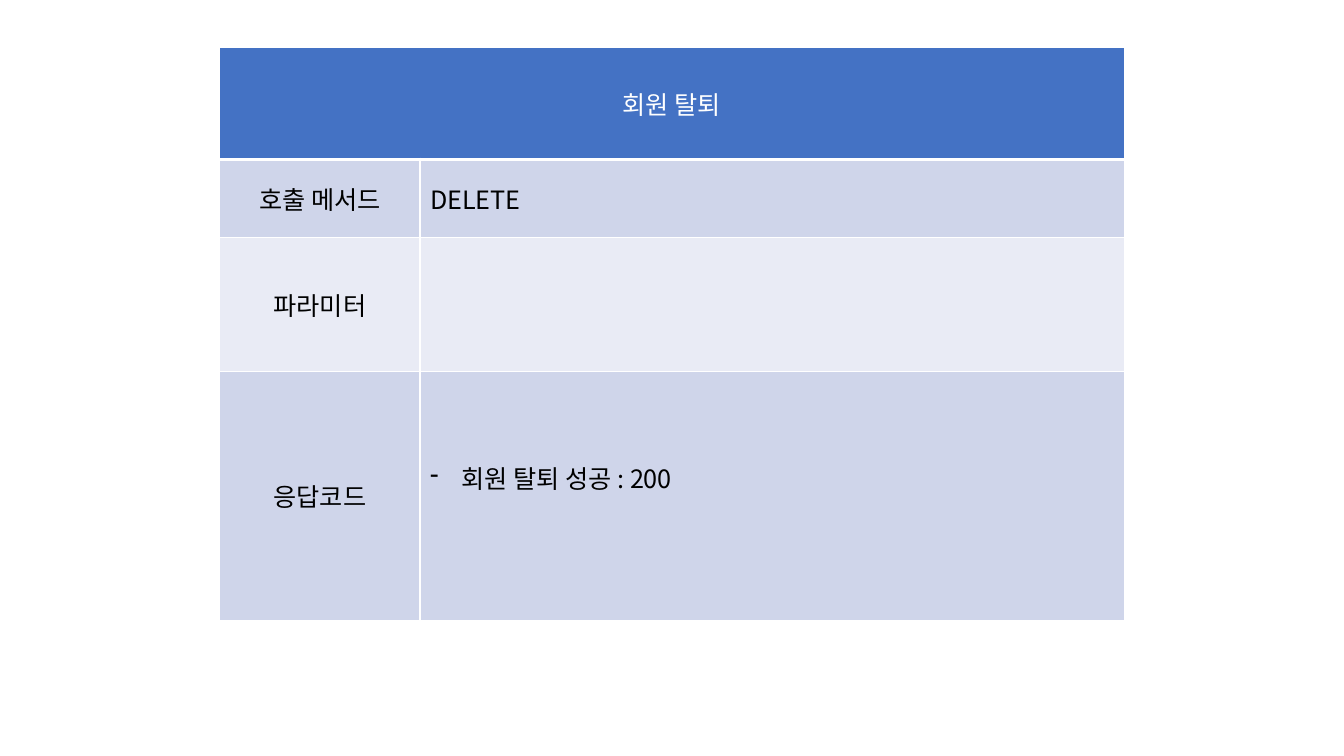
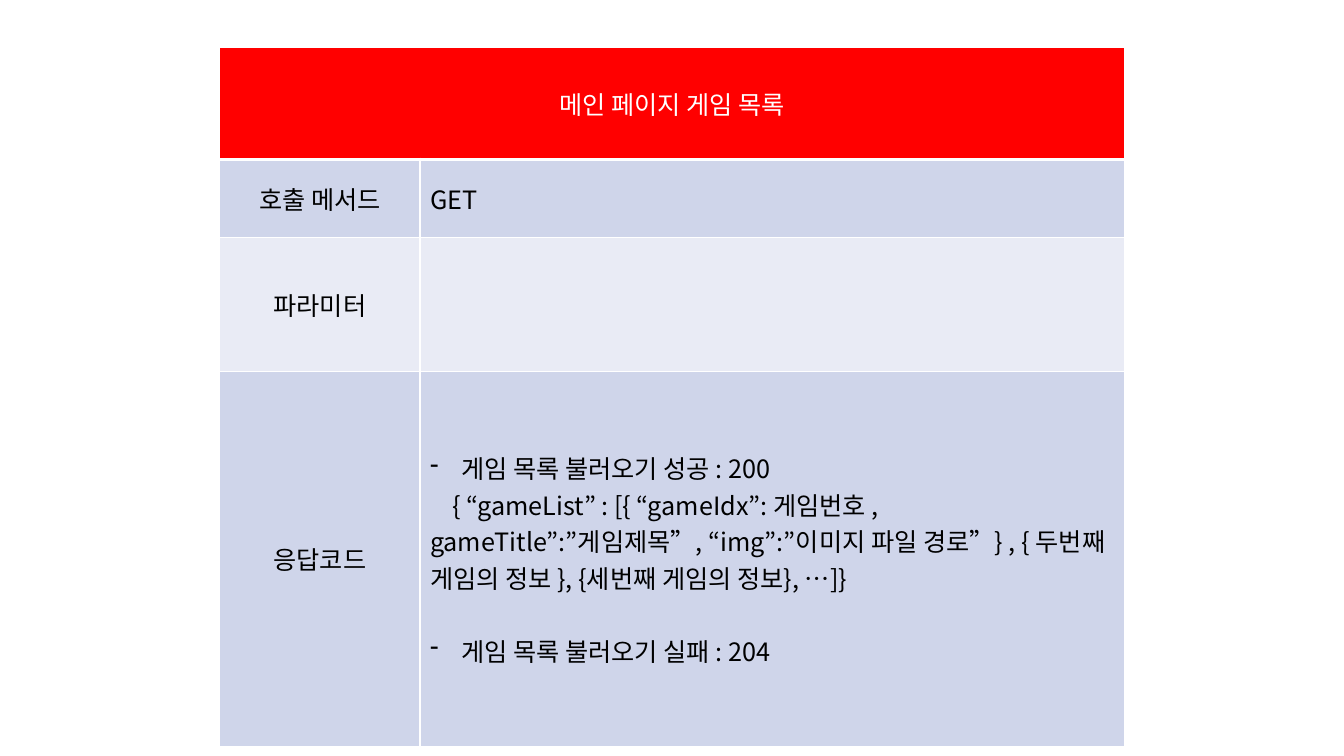
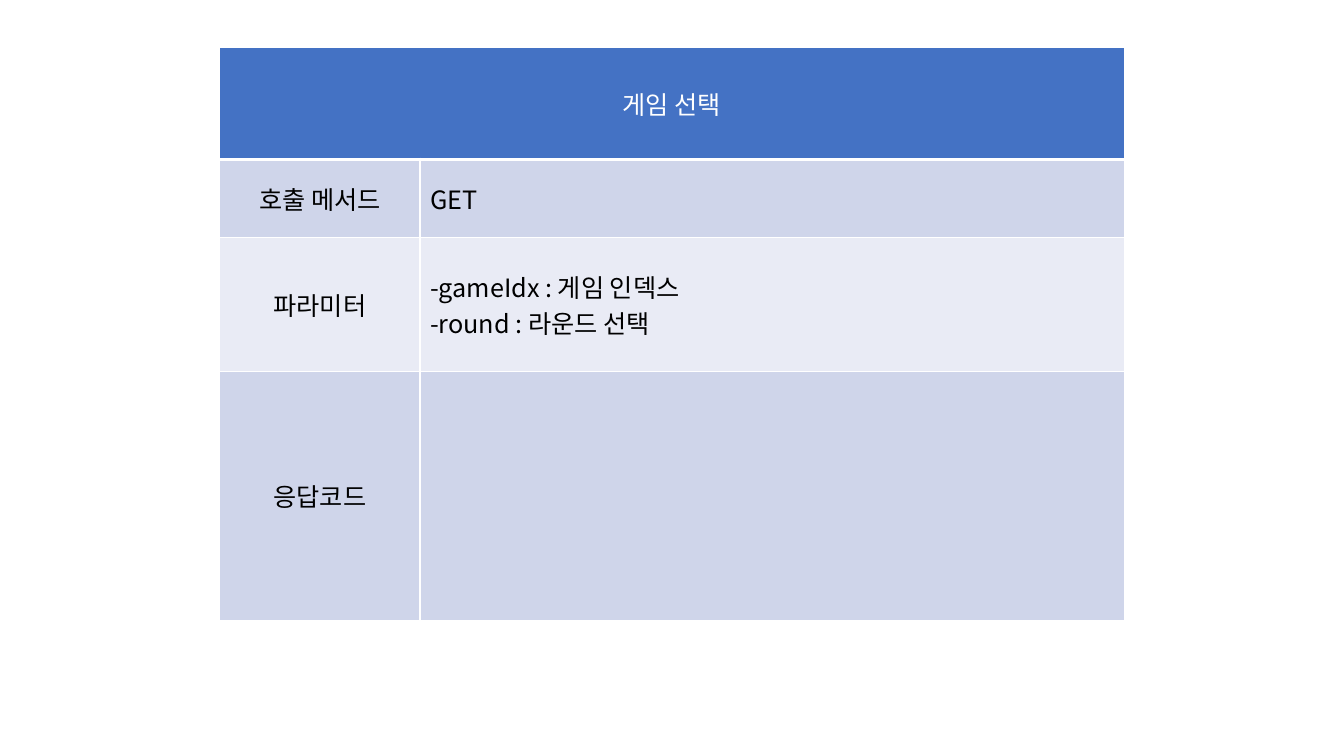
from dataclasses import dataclass

from lxml import etree
from pptx import Presentation
from pptx.dml.color import RGBColor
from pptx.enum.text import MSO_ANCHOR, PP_ALIGN
from pptx.oxml.ns import qn
from pptx.util import Inches, Pt


# Shared style
@dataclass(frozen=True)
class Theme:
    font: str = "Noto Sans CJK KR"
    size: int = 18
    blue: str = "4472C4"
    red: str = "FF0000"
    band_dark: str = "CFD5EA"
    band_light: str = "E9EBF5"
    white: str = "FFFFFF"
    black: str = "000000"
    thin: int = 1
    thick: int = 3
    line: float = 0.36          # height of one text line, inches
    bullet_indent: float = 0.31
    code_indent: float = 0.22
    # Percent of the slide's width or height
    columns: tuple = (14.9, 52.4)
    top: float = 6.3
    header_row: float = 14.8
    method_row: float = 10.3
    parameter_row: float = 17.7
    response_row: float = 33
    tall_response_row: float = 49.7


@dataclass(frozen=True)
class Line:
    text: str
    kind: str = "plain"         # plain, bullet or code
    gap_before: bool = False


class ApiDeck:
    def __init__(self, theme):
        self.theme = theme
        self.prs = Presentation()
        self.prs.slide_width = Inches(13.33)
        self.prs.slide_height = Inches(7.5)
        self.slide = None

    def across(self, percent):
        return round(self.prs.slide_width * percent / 100)

    def down(self, percent):
        return round(self.prs.slide_height * percent / 100)

    def new_slide(self):
        self.slide = self.prs.slides.add_slide(self.prs.slide_layouts[6])

    def borders(self, cell, bottom):
        props = cell._tc.get_or_add_tcPr()
        widths = {"lnL": self.theme.thin, "lnR": self.theme.thin,
                  "lnT": self.theme.thin, "lnB": bottom}
        for place, (side, width) in enumerate(widths.items()):
            line = etree.Element(qn(f"a:{side}"), w=str(Pt(width)))
            fill = etree.SubElement(line, qn("a:solidFill"))
            etree.SubElement(fill, qn("a:srgbClr"), val=self.theme.white)
            props.insert(place, line)

    def paragraph(self, paragraph, line, color, align):
        theme = self.theme
        paragraph.alignment = align
        if line.gap_before:
            paragraph.space_before = Inches(theme.line)
        props = paragraph._p.get_or_add_pPr()
        if line.kind == "bullet":
            indent = Inches(theme.bullet_indent)
            props.set("marL", str(indent))
            props.set("indent", str(-indent))
            etree.SubElement(props, qn("a:buChar"), char="-")
        elif line.kind == "code":
            props.set("marL", "0")
            props.set("indent", str(Inches(theme.code_indent)))
        run = paragraph.add_run()
        run.text = line.text
        font = run.font
        font.name, font.size, font.bold = theme.font, Pt(theme.size), False
        font.color.rgb = RGBColor.from_string(color)
        etree.SubElement(run._r.get_or_add_rPr(), qn("a:ea"), typeface=theme.font)

    def cell(self, cell, lines, fill, color=None, align=PP_ALIGN.LEFT, bottom=None):
        cell.fill.solid()
        cell.fill.fore_color.rgb = RGBColor.from_string(fill)
        cell.vertical_anchor = MSO_ANCHOR.MIDDLE
        self.borders(cell, bottom or self.theme.thin)
        frame = cell.text_frame
        for number, line in enumerate(lines):
            paragraph = frame.add_paragraph() if number else frame.paragraphs[0]
            self.paragraph(paragraph, line, color or self.theme.black, align)

    def api_table(self, title, method, parameters=(), responses=(),
                  header=None, response_row=None, lifted=False):
        theme = self.theme
        self.new_slide()
        rows = [theme.header_row, theme.method_row, theme.parameter_row,
                response_row or theme.response_row]
        width = sum(theme.columns)
        table = self.slide.shapes.add_table(
            len(rows), len(theme.columns), self.across((100 - width) / 2),
            self.down(theme.top), self.across(width), self.down(sum(rows))).table
        table.first_row = table.horz_banding = False
        for column, share in zip(table.columns, theme.columns):
            column.width = self.across(share)
        for row, share in zip(table.rows, rows):
            row.height = self.down(share)

        # Header across both columns
        table.cell(0, 0).merge(table.cell(0, 1))
        self.cell(table.cell(0, 0), [Line(title)], header or theme.blue,
                  theme.white, PP_ALIGN.CENTER, theme.thick)

        # Labelled rows in alternating bands
        body = (("호출 메서드", [Line(method)]), ("파라미터", parameters),
                ("응답코드", responses))
        for number, (label, lines) in enumerate(body, start=1):
            band = theme.band_dark if number % 2 else theme.band_light
            self.cell(table.cell(number, 0), [Line(label)], band,
                      align=PP_ALIGN.CENTER)
            self.cell(table.cell(number, 1), lines, band)
        if lifted:
            table.cell(3, 1).margin_bottom = Inches(theme.line + 0.05)

    def save(self):
        self.prs.save("out.pptx")


theme = Theme()
deck = ApiDeck(theme)

# Member withdrawal
deck.api_table("회원 탈퇴", "DELETE",
               responses=[Line("회원 탈퇴 성공 : 200", "bullet")], lifted=True)

# Game list on the main page
deck.api_table(
    "메인 페이지 게임 목록", "GET",
    responses=[
        Line("게임 목록 불러오기 성공 : 200", "bullet"),
        Line("{ “gameList” : [{ “gameIdx”: 게임번호 , gameTitle”:”게임제목”, "
             "“img”:”이미지 파일 경로”} , { 두번째 게임의 정보 }, "
             "{세번째 게임의 정보}, …]}", "code"),
        Line("게임 목록 불러오기 실패 : 204", "bullet", gap_before=True),
    ],
    header=theme.red, response_row=theme.tall_response_row)

# Game selection
deck.api_table("게임 선택", "GET",
               parameters=[Line("-gameIdx : 게임 인덱스"),
                           Line("-round : 라운드 선택")])

deck.save()
